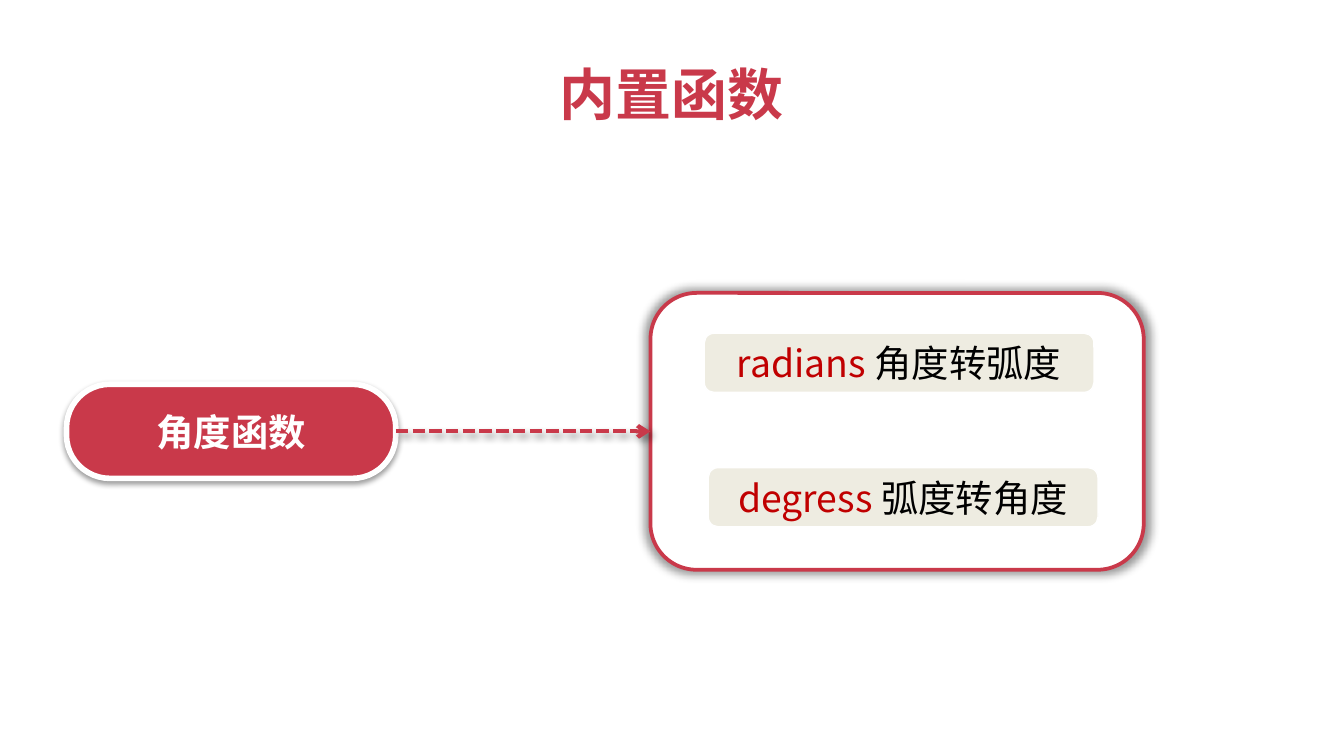
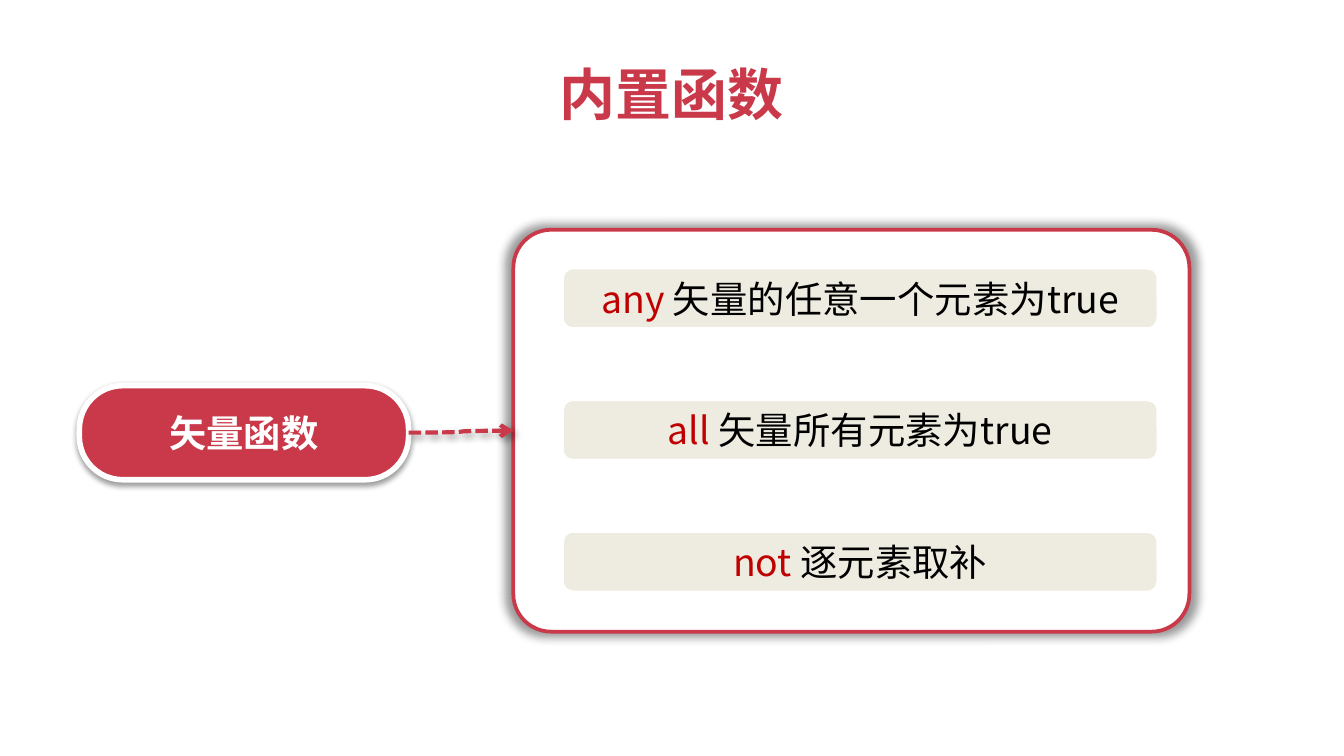
from dataclasses import dataclass

import pptx
import pptx.dml.color
import pptx.enum.dml
import pptx.enum.shapes
import pptx.enum.text
import pptx.oxml.ns
import pptx.oxml.xmlchemy
import pptx.util

Pt = pptx.util.Pt
ROUND = pptx.enum.shapes.MSO_SHAPE.ROUNDED_RECTANGLE
ANCHOR = pptx.enum.text.MSO_ANCHOR
CENTER = pptx.enum.text.PP_ALIGN.CENTER
COLS, ROWS = 100, 56.25
CELL = pptx.util.Inches(0.1)
TITLE_BOX = (40.65, 3.9, 18.7, 6)
LABEL_SIZE = (24.5, 7)
CHIP_HEIGHT = 4.4


@dataclass(frozen=True)
class Theme:
    font: str = "Noto Sans CJK SC"
    accent: str = "C9394A"
    keyword: str = "C00000"
    chip: str = "EEECE1"
    ink: str = "000000"
    paper: str = "FFFFFF"
    title_size: int = 30
    text_size: int = 20


THEME = Theme()


def rgb(color):
    return pptx.dml.color.RGBColor.from_string(color)


def grid(*lengths):
    return [round(n * CELL) for n in lengths]


def add_child(parent, tag, **attrs):
    el = pptx.oxml.xmlchemy.OxmlElement(tag)
    for name, value in attrs.items():
        el.set(name, str(value))
    parent.append(el)
    return el


def set_shadow(sp, alpha, blur, dist, angle, scale=100):
    sp_pr = sp._element.spPr
    for old in sp_pr.findall(pptx.oxml.ns.qn("a:effectLst")):
        sp_pr.remove(old)
    effects = add_child(sp_pr, "a:effectLst")
    shadow = add_child(effects, "a:outerShdw", blurRad=Pt(blur), dist=Pt(dist),
                       dir=angle * 60000, sx=scale * 1000, sy=scale * 1000,
                       algn="ctr", rotWithShape=0)
    color = add_child(shadow, "a:srgbClr", val=THEME.ink)
    add_child(color, "a:alpha", val=alpha * 1000)


def set_line(sp, color, width):
    sp.line.color.rgb = rgb(color)
    sp.line.width = Pt(width)


def set_text(tf, runs, size, bold=False):
    p = tf.paragraphs[0]
    p.alignment = CENTER
    p.font.size = Pt(size)
    p.font.bold = bold
    p.font.name = THEME.font
    add_child(p.font._element, "a:ea", typeface=THEME.font)
    for text, color in runs:
        r = p.add_run()
        r.text = text
        r.font.color.rgb = rgb(color)


def add_round(slide, box, fill, line, width, adj=None):
    sp = slide.shapes.add_shape(ROUND, *grid(*box))
    sp.shadow.inherit = False
    sp.fill.solid()
    sp.fill.fore_color.rgb = rgb(fill)
    set_line(sp, line, width)
    if adj is not None:
        sp.adjustments[0] = adj
    sp.text_frame.vertical_anchor = ANCHOR.MIDDLE
    return sp


def add_title(slide, text, box):
    sp = slide.shapes.title
    sp.left, sp.top, sp.width, sp.height = grid(*box)
    tf = sp.text_frame
    tf.word_wrap = False
    tf.auto_size = pptx.enum.text.MSO_AUTO_SIZE.SHAPE_TO_FIT_TEXT
    tf.vertical_anchor = ANCHOR.TOP
    set_text(tf, [(text, THEME.accent)], THEME.title_size, bold=True)


def add_label(slide, text, left, top):
    sp = add_round(slide, (left, top, *LABEL_SIZE), THEME.accent, THEME.paper, 3, 0.461)
    set_shadow(sp, 38, 3.1, 1.6, 90)
    set_text(sp.text_frame, [(text, THEME.paper)], THEME.text_size, bold=True)
    return sp


def add_panel(slide, box, adj, chips, inset, width, pitch, drift=0):
    sp = add_round(slide, box, THEME.paper, THEME.accent, 2, adj)
    set_shadow(sp, 40, 5, 0, 0, scale=102)
    left, top = box[0] + inset[0], box[1] + inset[1]
    for i, (name, meaning) in enumerate(chips):
        chip = add_round(slide, (left + i * drift, top + i * pitch, width, CHIP_HEIGHT),
                         THEME.chip, THEME.paper, 0.75)
        set_text(chip.text_frame, [(name, THEME.keyword), (meaning, THEME.ink)],
                 THEME.text_size)
    return sp


def add_arrow(slide, label, panel):
    cx = slide.shapes.add_connector(pptx.enum.shapes.MSO_CONNECTOR.CURVE, 0, 0, 0, 0)
    cx.begin_connect(label, 3)
    cx.end_connect(panel, 1)
    set_line(cx, THEME.accent, 2.25)
    cx.line.dash_style = pptx.enum.dml.MSO_LINE.SQUARE_DOT
    add_child(cx.line._get_or_add_ln(), "a:tailEnd", type="arrow")
    set_shadow(cx, 40, 4, 3, 45)


def add_function_slide(prs, label, label_at, panel):
    slide = prs.slides.add_slide(prs.slide_layouts[5])
    add_title(slide, "内置函数", TITLE_BOX)
    panel_sp = add_panel(slide, **panel)
    label_sp = add_label(slide, label, *label_at)
    add_arrow(slide, label_sp, panel_sp)


def main():
    prs = pptx.Presentation()
    prs.slide_width, prs.slide_height = grid(COLS, ROWS)
    add_function_slide(prs, "角度函数", (4.95, 28.6), dict(
        box=(48.4, 21.8, 36.7, 20.6), adj=0.167,
        chips=[("radians ", "角度转弧度"), ("degress", " 弧度转角度")],
        inset=(4, 3), width=29, pitch=10, drift=0.3))
    add_function_slide(prs, "矢量函数", (5.9, 28.7), dict(
        box=(38.2, 17.1, 50.3, 29.9), adj=0.094,
        chips=[("any ", "矢量的任意⼀个元素为true"),
               ("all ", "矢量所有元素为true"),
               ("not", " 逐元素取补")],
        inset=(3.7, 2.9), width=44.2, pitch=9.8))
    prs.save("out.pptx")


if __name__ == "__main__":
    main()
